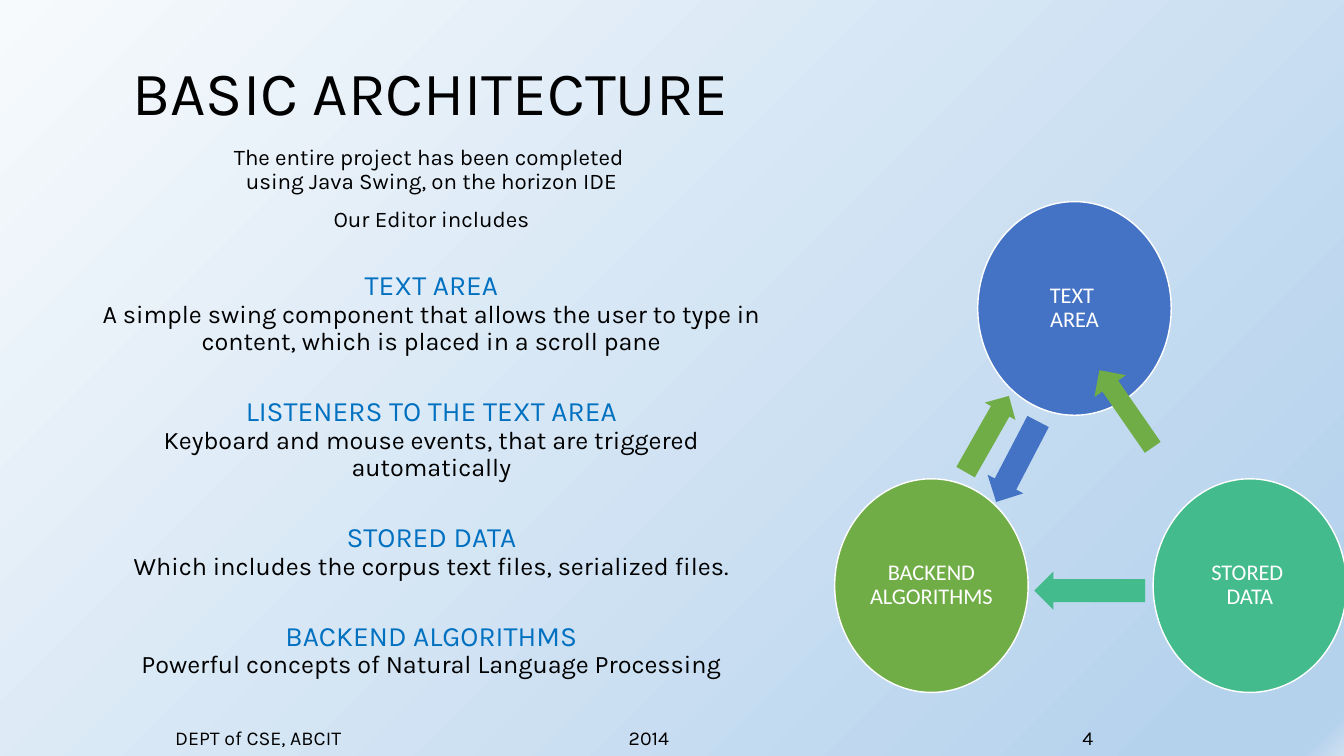
import pptx
import pptx.util
import pptx.dml.color
import pptx.enum.shapes
import pptx.enum.text
import pptx.oxml
import pptx.oxml.ns

Pt = pptx.util.Pt
SHAPE = pptx.enum.shapes.MSO_SHAPE
ALIGN = pptx.enum.text.PP_ALIGN
ANCHOR = pptx.enum.text.MSO_ANCHOR
qn = pptx.oxml.ns.qn
NS = pptx.oxml.ns.nsdecls("a")

BLACK, WHITE, HEADING = "000000", "FFFFFF", "0070C0"
BLUE, GREEN, TEAL = "4472C4", "70AD47", "43BB8D"


def rgb(value):
    return pptx.dml.color.RGBColor.from_string(value)


class Deck:
    font = "Karla"
    shape_font = "Calibri"
    line_spacing = 0.9

    def __init__(self, width, height):
        self.prs = pptx.Presentation()
        self.prs.slide_width, self.prs.slide_height = Pt(width), Pt(height)

    def add_slide(self):
        self.s = self.prs.slides.add_slide(self.prs.slide_layouts[5])

    def background(self, stops, angle):
        fill = self.s.background.fill
        fill.gradient()
        fill.gradient_angle = angle
        gs_list = next(self.s._element.iter(qn("a:gsLst")))
        for gs in list(gs_list):
            gs_list.remove(gs)
        for pos, color in stops:
            gs_list.append(pptx.oxml.parse_xml(
                f'<a:gs {NS} pos="{pos * 1000}"><a:srgbClr val="{color}"/></a:gs>'))

    def run(self, p, text, size, color=BLACK, font=None):
        for i, line in enumerate(text.split("\n")):
            if i:
                p.add_line_break()
            r = p.add_run()
            r.text = line
            r.font.size = Pt(size)
            r.font.name = font or self.font
            r.font.color.rgb = rgb(color)

    def paragraph(self, tf, runs, before=0, first=False, font=None):
        p = tf.paragraphs[0] if first else tf.add_paragraph()
        p.alignment = ALIGN.CENTER
        p.line_spacing = self.line_spacing
        p.space_before = Pt(before)
        for text, size, color in runs:
            self.run(p, text, size, color, font)

    def title(self, box, text, size):
        sp = self.s.shapes.title
        sp.left, sp.top, sp.width, sp.height = map(Pt, box)
        tf = sp.text_frame
        tf.word_wrap = True
        tf.vertical_anchor = ANCHOR.MIDDLE
        self.paragraph(tf, [(text, size, BLACK)], first=True)

    def text_box(self, box):
        tf = self.s.shapes.add_textbox(*map(Pt, box)).text_frame
        tf.word_wrap = True
        return tf

    def body(self, box, paragraphs):
        tf = self.text_box(box)
        for i, (before, runs) in enumerate(paragraphs):
            self.paragraph(tf, runs, before, first=i == 0)

    def footer(self, box, parts, size, tab_gap):
        p = self.text_box(box).paragraphs[0]
        tabs = "".join(f'<a:tab pos="{Pt(tab_gap * i)}" algn="l"/>'
                       for i in range(1, len(parts)))
        p._p.get_or_add_pPr().append(
            pptx.oxml.parse_xml(f"<a:tabLst {NS}>{tabs}</a:tabLst>"))
        self.run(p, "\t".join(parts), size)

    def shape(self, kind, box, color):
        sp = self.s.shapes.add_shape(kind, *map(Pt, box))
        sp.shadow.inherit = False
        sp.fill.solid()
        sp.fill.fore_color.rgb = rgb(color)
        return sp

    def circle(self, box, color, text):
        sp = self.shape(SHAPE.OVAL, box, color)
        sp.line.color.rgb = rgb(WHITE)
        sp.line.width = Pt(1)
        tf = sp.text_frame
        tf.word_wrap = True
        tf.vertical_anchor = ANCHOR.MIDDLE
        tf.margin_left = tf.margin_right = tf.margin_top = tf.margin_bottom = Pt(1.4)
        self.paragraph(tf, [(text, 16, WHITE)], first=True, font=self.shape_font)

    def arrow(self, kind, box, color, rotation, shaft):
        sp = self.shape(kind, box, color)
        sp.line.fill.background()
        sp.rotation = rotation
        sp.adjustments[0] = shaft
        sp.adjustments[1] = 0.5


deck = Deck(960, 540)
deck.add_slide()
deck.background([(0, "F7FAFD"), (92, "B5D2EC"), (98, "B5D2EC"), (100, "CEE1F2")], 315)
deck.title((82.8, 25.9, 450, 84.2), "BASIC ARCHITECTURE", 44)

components = [
    ("TEXT AREA", "A simple swing component that allows the user to type in "
                  "content, which is placed in a scroll pane"),
    ("LISTENERS TO THE TEXT AREA",
     "Keyboard and mouse events, that are triggered automatically"),
    ("STORED DATA", "Which includes the corpus text files, serialized files."),
    ("BACKEND ALGORITHMS", "Powerful concepts of Natural Language Processing"),
]
intro = [
    "The entire project has been completed \nusing Java Swing, on the horizon IDE",
    "Our Editor includes",
]
paragraphs = [(10, [(text, 16, BLACK)]) for text in intro]
paragraphs += [(29.5 if i else 27.5, [(name + "\n", 20, HEADING), (detail, 18, BLACK)])
               for i, (name, detail) in enumerate(components)]
deck.body((58.3, 100.8, 499.7, 413.3), paragraphs)
deck.footer((118, 514.8, 676, 24.5), ["DEPT of CSE, ABCIT", "2014", "4"], 14, 324)

for left, top, color, text in [
    (698.4, 144, BLUE, "TEXT \nAREA"),
    (823.7, 342, TEAL, "STORED \nDATA"),
    (596.2, 342, GREEN, "BACKEND ALGORITHMS"),
]:
    deck.circle((left, top, 138.2, 152.6), color, text)

for kind, box, color, rotation, shaft in [
    (SHAPE.RIGHT_ARROW, (694.1, 315.4, 64.8, 28.8), BLUE, 117.5, 0.6),
    (SHAPE.RIGHT_ARROW, (738.7, 408.2, 79.2, 27.4), TEAL, 180, 0.6),
    (SHAPE.RIGHT_ARROW, (673.9, 297.4, 62.6, 25.2), GREEN, 299.6, 0.6),
    (SHAPE.DOWN_ARROW, (790.6, 258.5, 27.4, 67), GREEN, 145.3, 0.5),
]:
    deck.arrow(kind, box, color, rotation, shaft)

deck.prs.save("out.pptx")
